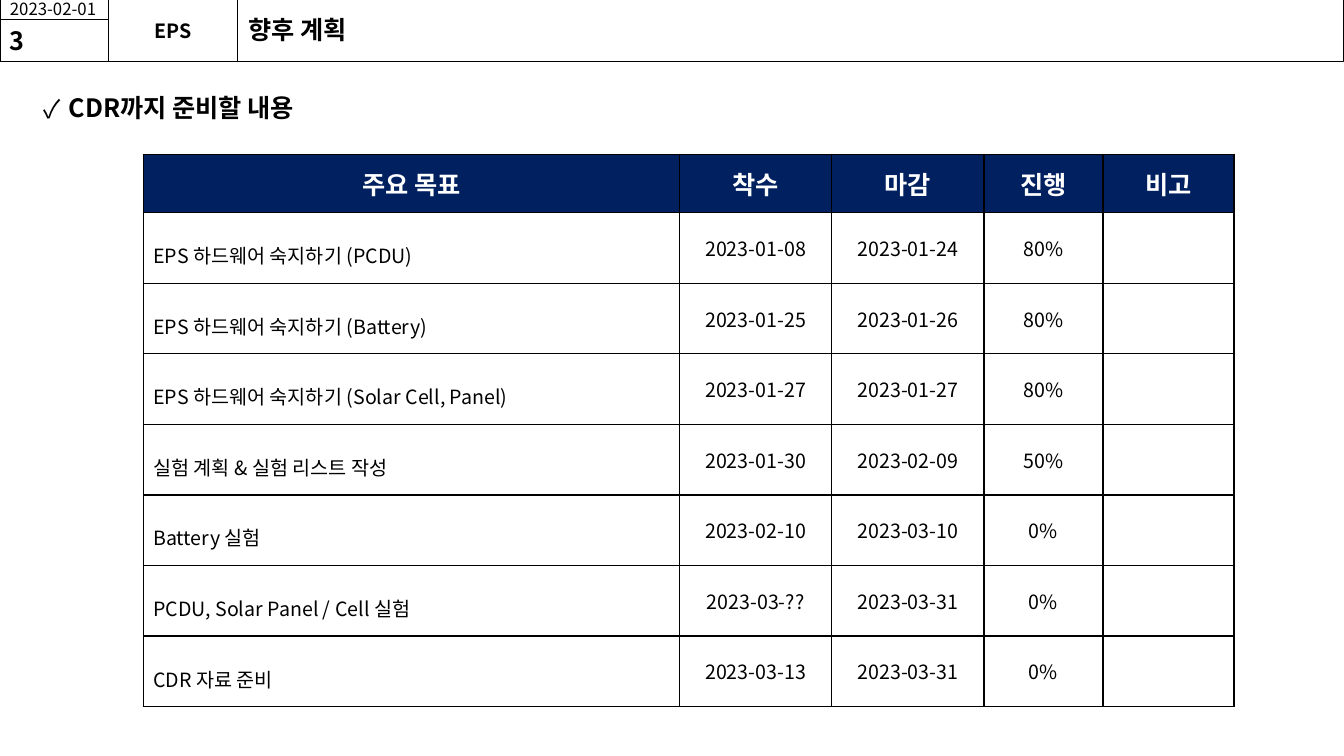
from dataclasses import dataclass
from itertools import accumulate

from lxml import etree
from pptx import Presentation
from pptx.dml.color import RGBColor
from pptx.enum.shapes import MSO_SHAPE
from pptx.enum.text import MSO_ANCHOR, MSO_AUTO_SIZE, PP_ALIGN
from pptx.oxml.ns import qn
from pptx.util import Inches, Pt

RECTANGLE = MSO_SHAPE.RECTANGLE
TOP, MIDDLE = MSO_ANCHOR.TOP, MSO_ANCHOR.MIDDLE
LEFT, CENTER = PP_ALIGN.LEFT, PP_ALIGN.CENTER
NO_AUTOFIT = MSO_AUTO_SIZE.NONE


@dataclass(frozen=True)
class Theme:
    font: str = "Noto Sans CJK KR"
    ink: str = "000000"
    paper: str = "FFFFFF"
    navy: str = "002060"
    heading: int = 18
    text: int = 14
    small: int = 12
    frame_line: float = 0.75
    table_line: float = 1


THEME = Theme()
SLIDE_WIDTH, SLIDE_HEIGHT = 13.33, 7.5

# Header grid: date and page number | subsystem | slide title
HEADER_TOP = -0.01
HEADER_COLUMNS = [1.08, 1.28, 10.97]
HEADER_ROWS = [0.2, 0.42]

# Plan table
TABLE_LEFT, TABLE_TOP = 1.42, 1.53
PLAN_COLUMNS = [5.32, 1.51, 1.51, 1.18, 1.3]
HEAD_ROW, TASK_ROW = 0.58, 0.7
PLAN_HEAD = ["주요 목표", "착수", "마감", "진행", "비고"]
TASKS = [
    ["EPS 하드웨어 숙지하기 (PCDU)", "2023-01-08", "2023-01-24", "80%", ""],
    ["EPS 하드웨어 숙지하기 (Battery)", "2023-01-25", "2023-01-26", "80%", ""],
    ["EPS 하드웨어 숙지하기 (Solar Cell, Panel)", "2023-01-27", "2023-01-27", "80%", ""],
    ["실험 계획 & 실험 리스트 작성", "2023-01-30", "2023-02-09", "50%", ""],
    ["Battery 실험", "2023-02-10", "2023-03-10", "0%", ""],
    ["PCDU, Solar Panel / Cell 실험", "2023-03-??", "2023-03-31", "0%", ""],
    ["CDR 자료 준비", "2023-03-13", "2023-03-31", "0%", ""],
]


def write(para, text, size, bold=False, color=THEME.ink, align=LEFT):
    para.alignment = align
    span = para.add_run()
    span.text = text
    span.font.size = Pt(size)
    span.font.bold = bold
    span.font.name = THEME.font
    span.font.color.rgb = RGBColor.from_string(color)
    east_asian = etree.Element(qn("a:ea"), typeface=THEME.font)
    span.font._element.find(qn("a:latin")).addnext(east_asian)


def place(shape, left, top, width, height):
    shape.left, shape.top = Inches(left), Inches(top)
    shape.width, shape.height = Inches(width), Inches(height)


def prepare_placeholder(holder, *bounds):
    place(holder, *bounds)
    frame = holder.text_frame
    frame.auto_size = NO_AUTOFIT
    frame.vertical_anchor = TOP
    para = frame.paragraphs[0]
    para.space_before = Pt(0)
    return para


def add_header_box(page, bounds, text="", size=THEME.text, bold=False,
                   align=LEFT, inset=0.1):
    box = page.shapes.add_shape(RECTANGLE, *map(Inches, bounds))
    box.shadow.inherit = False
    box.fill.background()
    box.line.color.rgb = RGBColor.from_string(THEME.ink)
    box.line.width = Pt(THEME.frame_line)
    frame = box.text_frame
    frame.word_wrap = True
    frame.vertical_anchor = MIDDLE
    frame.margin_left = frame.margin_right = Inches(inset)
    frame.margin_top = frame.margin_bottom = Inches(inset / 2)
    if text:
        write(frame.paragraphs[0], text, size, bold, align=align)


def add_header(page):
    lefts = [0, *accumulate(HEADER_COLUMNS)]
    first, second, third = HEADER_COLUMNS
    date_row, number_row = HEADER_ROWS
    full = sum(HEADER_ROWS)
    add_header_box(page, (lefts[2], HEADER_TOP, third, full))
    add_header_box(page, (0, HEADER_TOP, first, date_row), "2023-02-01", THEME.small)
    add_header_box(page, (lefts[1], HEADER_TOP, second, full), "EPS",
                   bold=True, align=CENTER, inset=0)
    add_header_box(page, (0, HEADER_TOP + date_row, first, number_row), "3",
                   THEME.heading, bold=True)
    para = prepare_placeholder(page.shapes.title, lefts[2], 0.09, 7.29, 0.4)
    write(para, "향후 계획", THEME.heading, bold=True)


def add_checked_list(page, text):
    para = prepare_placeholder(page.placeholders[1], 0.33, 0.9, 11.92, 6.09)
    para.line_spacing = 0.9
    properties = para._p.get_or_add_pPr()
    properties.set("marL", str(Inches(0.25)))
    properties.set("indent", str(-Inches(0.25)))
    etree.SubElement(properties, qn("a:buFont"), typeface=THEME.font)
    etree.SubElement(properties, qn("a:buChar"), char="✓")
    write(para, text, THEME.heading, bold=True)


def style_cell(cell, fill):
    properties = cell._tc.get_or_add_tcPr()
    for side in ("lnL", "lnR", "lnT", "lnB"):
        line = etree.SubElement(properties, qn(f"a:{side}"), w=str(Pt(THEME.table_line)))
        solid = etree.SubElement(line, qn("a:solidFill"))
        etree.SubElement(solid, qn("a:srgbClr"), val=THEME.ink)
    cell.fill.solid()
    cell.fill.fore_color.rgb = RGBColor.from_string(fill)
    cell.vertical_anchor = MIDDLE


def add_plan_table(page):
    heights = [HEAD_ROW] + [TASK_ROW] * len(TASKS)
    bounds = (TABLE_LEFT, TABLE_TOP, sum(PLAN_COLUMNS), sum(heights))
    table = page.shapes.add_table(len(heights), len(PLAN_COLUMNS),
                                  *map(Inches, bounds)).table
    for column, width in zip(table.columns, PLAN_COLUMNS):
        column.width = Inches(width)
    for row, height in zip(table.rows, heights):
        row.height = Inches(height)
    for r, values in enumerate([PLAN_HEAD, *TASKS]):
        for c, value in enumerate(values):
            cell = table.cell(r, c)
            style_cell(cell, THEME.paper if r else THEME.navy)
            para = cell.text_frame.paragraphs[0]
            if r == 0:
                write(para, value, THEME.heading, True, THEME.paper, CENTER)
            elif value:
                write(para, value, THEME.text, align=CENTER if c else LEFT)
                if c == 0:
                    para.line_spacing = 1.5


def main():
    deck = Presentation()
    deck.slide_width, deck.slide_height = Inches(SLIDE_WIDTH), Inches(SLIDE_HEIGHT)
    page = deck.slides.add_slide(deck.slide_layouts[1])
    add_checked_list(page, "CDR까지 준비할 내용")
    add_header(page)
    add_plan_table(page)
    deck.save("out.pptx")


if __name__ == "__main__":
    main()
